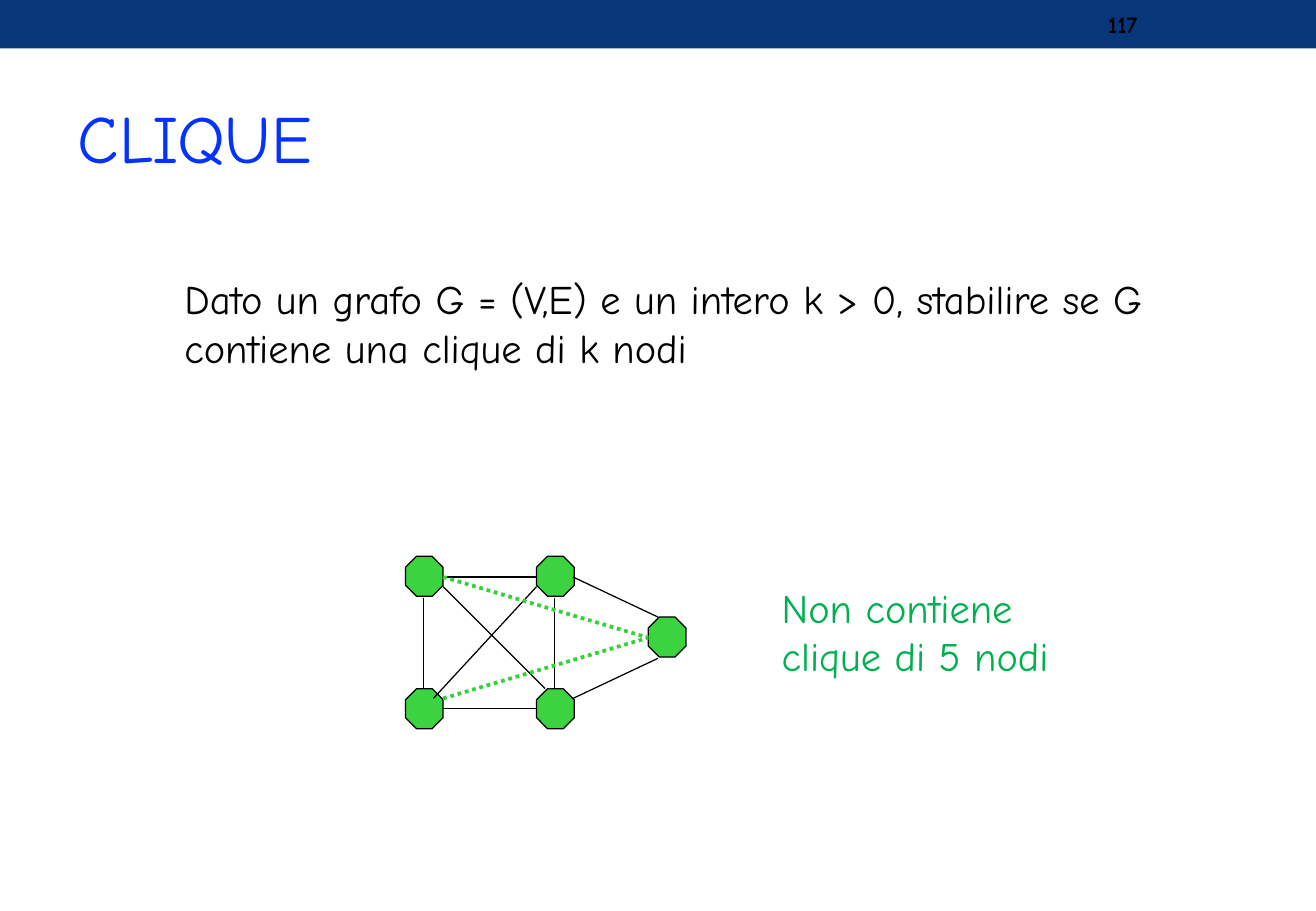
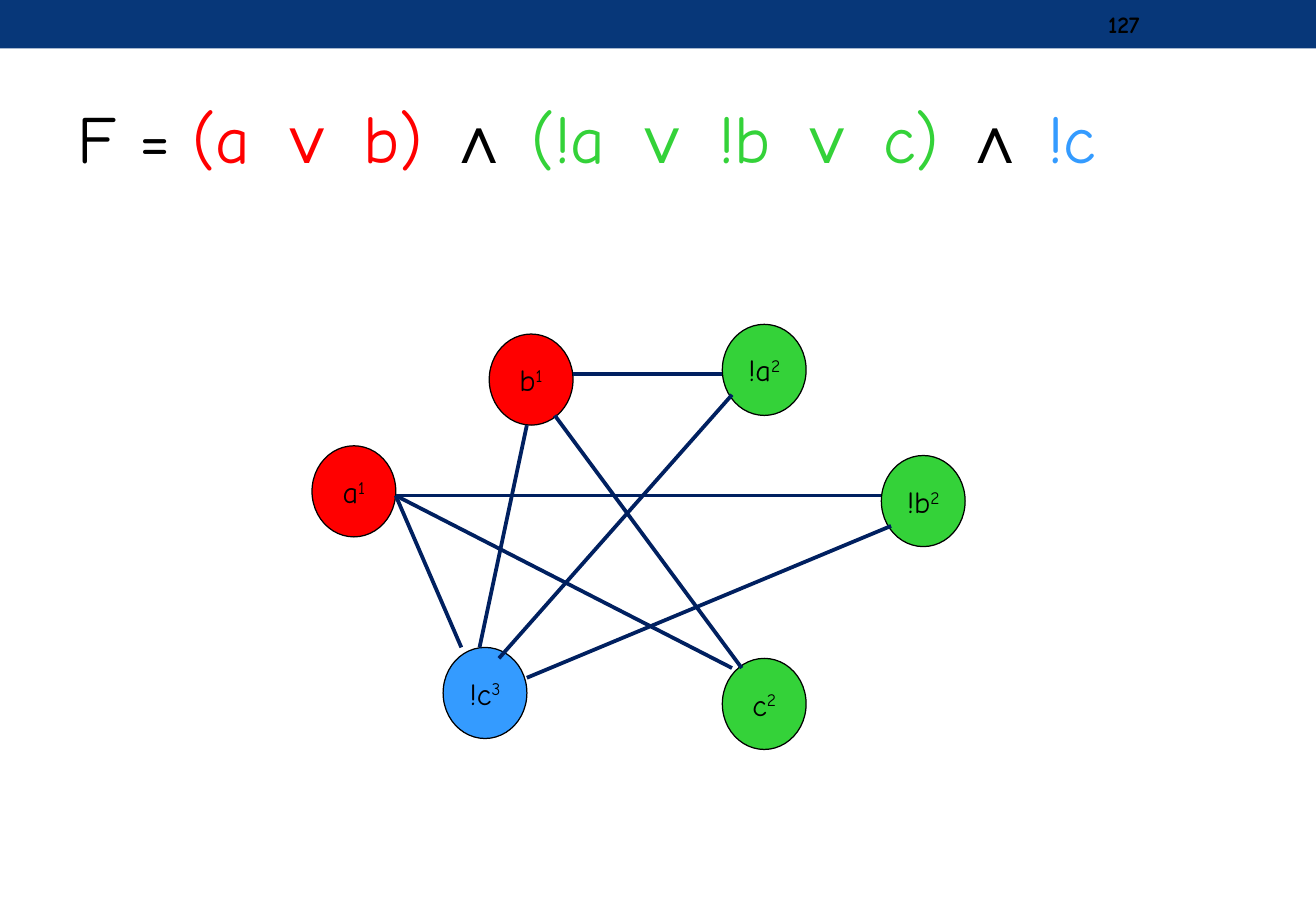
from lxml.etree import SubElement
from pptx import Presentation
from pptx.dml.color import RGBColor
from pptx.enum.dml import MSO_LINE
from pptx.enum.shapes import MSO_CONNECTOR, MSO_SHAPE
from pptx.enum.text import MSO_ANCHOR, MSO_AUTO_SIZE, PP_ALIGN
from pptx.oxml.ns import qn
from pptx.util import Emu, Pt

PX = 9144
WIDE, HIGH = 1084, 750
FONT, SIGN = "Comic Neue", "Arial"

BLACK = RGBColor(0x00, 0x00, 0x00)
BAND = RGBColor(0x07, 0x37, 0x79)
BLUE = RGBColor(0x04, 0x32, 0xFF)
RED = RGBColor(0xFF, 0x00, 0x00)
GREEN = RGBColor(0x34, 0xD2, 0x39)
NOTE = RGBColor(0x00, 0xB0, 0x50)
SKY = RGBColor(0x34, 0x9B, 0xFF)
NAVY = RGBColor(0x00, 0x20, 0x60)

TITLE = {"size": Pt(40)}
BODY = {"size": Pt(24)}
LABEL = {"size": Pt(18)}
NUMBER = {"size": Pt(14), "bold": True}


def scale(*px):
    return [Emu(n * PX) for n in px]


def write(para, text, style, color=BLACK, face=FONT):
    run = para.add_run()
    run.text = text
    for name, value in {"name": face, **style}.items():
        setattr(run.font, name, value)
    run.font.color.rgb = color
    return run


def add_text(slide, box, lines, style, color=BLACK, anchor=MSO_ANCHOR.TOP):
    frame = slide.shapes.add_textbox(*scale(*box)).text_frame
    frame.word_wrap = True
    frame.vertical_anchor = anchor
    for i, line in enumerate(lines):
        para = frame.add_paragraph() if i else frame.paragraphs[0]
        write(para, line, style, color)


def add_form(slide, kind, box, color, edge=BLACK):
    form = slide.shapes.add_shape(kind, *scale(*box))
    form.shadow.inherit = False
    form.fill.solid()
    form.fill.fore_color.rgb = color
    if edge is None:
        form.line.fill.background()
    else:
        form.line.color.rgb = edge
        form.line.width = Pt(0.75)
    return form


def add_link(slide, ends, color, width, dash=None):
    link = slide.shapes.add_connector(MSO_CONNECTOR.STRAIGHT, *scale(*ends))
    for name, value in {"width": Pt(width), "dash_style": dash}.items():
        setattr(link.line, name, value)
    link.line.color.rgb = color
    SubElement(link.element.spPr, qn("a:effectLst"))


def add_node(slide, left, top):
    node = add_form(slide, MSO_SHAPE.OCTAGON, (left, top, 31, 33), GREEN)
    tint = node.element.spPr.find(qn("a:solidFill"))[0]
    SubElement(tint, qn("a:alpha"), val="96000")


def add_term(slide, left, top, text, power, color):
    term = add_form(slide, MSO_SHAPE.OVAL, (left, top, 69, 75), color)
    frame = term.text_frame
    frame.word_wrap = False
    frame.vertical_anchor = MSO_ANCHOR.MIDDLE
    para = frame.paragraphs[0]
    para.alignment = PP_ALIGN.CENTER
    write(para, text, LABEL)
    raised = write(para, power, LABEL)
    raised._r.get_or_add_rPr().set("baseline", "30000")


def set_layout(layout):
    title = layout.placeholders[0]
    place = dict(zip(("left", "top", "width", "height"), scale(54, 58, 975, 108)))
    for name, value in place.items():
        setattr(title, name, value)
    title.text_frame.vertical_anchor = MSO_ANCHOR.MIDDLE
    title.text_frame.auto_size = MSO_AUTO_SIZE.NONE


def add_slide(deck, number, parts):
    slide = deck.slides.add_slide(deck.slide_layouts[5])
    add_form(slide, MSO_SHAPE.RECTANGLE, (0, 0, WIDE, 40), BAND, None)
    para = slide.shapes.title.text_frame.paragraphs[0]
    para.alignment = PP_ALIGN.LEFT
    for text, color, face in parts:
        write(para, text, TITLE, color, face)
    add_text(slide, (903, 2, 126, 36), [number], NUMBER, anchor=MSO_ANCHOR.MIDDLE)
    return slide


def draw_clique(deck):
    slide = add_slide(deck, "117", [("CLIQUE", BLUE, FONT)])
    task = "Dato un grafo G = (V,E) e un intero k > 0, stabilire se G contiene una clique di k nodi"
    add_text(slide, (142, 221, 879, 126), [task], BODY)
    square = [(x, y) for y in (458, 567) for x in (334, 442)]
    for left, top in square + [(534, 508)]:
        add_node(slide, left, top)
    edges = [
        (349, 492, 349, 567), (457, 492, 457, 567),
        (365, 475, 442, 475), (365, 583, 442, 583),
        (472, 575, 542, 542), (365, 483, 449, 567),
        (357, 575, 442, 483), (472, 475, 542, 508),
    ]
    for ends in edges:
        add_link(slide, ends, BLACK, 0.75)
    add_text(slide, (634, 475, 308, 90), ["Non contiene", "clique di 5 nodi"], BODY, NOTE)
    for top in (475, 575):
        add_link(slide, (365, top, 534, 525), GREEN, 2.25, MSO_LINE.ROUND_DOT)


def draw_terms(deck):
    slide = add_slide(deck, "127", [
        ("F = ", BLACK, FONT),
        ("(a ", RED, FONT), ("∨", RED, SIGN), (" b) ", RED, FONT),
        ("∧ ", BLACK, SIGN),
        ("(!a ", GREEN, FONT), ("∨", GREEN, SIGN), (" !b ", GREEN, FONT),
        ("∨", GREEN, SIGN), (" c) ", GREEN, FONT),
        ("∧ ", BLACK, SIGN),
        ("!c", SKY, FONT),
    ])
    terms = [
        (403, 275, "b", "1", RED), (257, 367, "a", "1", RED),
        (595, 267, "!a", "2", GREEN), (726, 375, "!b", "2", GREEN),
        (595, 542, "c", "2", GREEN), (365, 533, "!c", "3", SKY),
    ]
    for term in terms:
        add_term(slide, *term)
    edges = [
        (326, 408, 726, 408), (326, 408, 380, 533), (326, 408, 603, 550),
        (434, 350, 395, 533), (457, 342, 611, 550), (472, 308, 595, 308),
        (411, 542, 603, 325), (434, 558, 734, 433),
    ]
    for ends in edges:
        add_link(slide, ends, NAVY, 2.25)


def main():
    deck = Presentation()
    deck.slide_width, deck.slide_height = scale(WIDE, HIGH)
    set_layout(deck.slide_layouts[5])
    draw_clique(deck)
    draw_terms(deck)
    deck.save("out.pptx")


if __name__ == "__main__":
    main()
